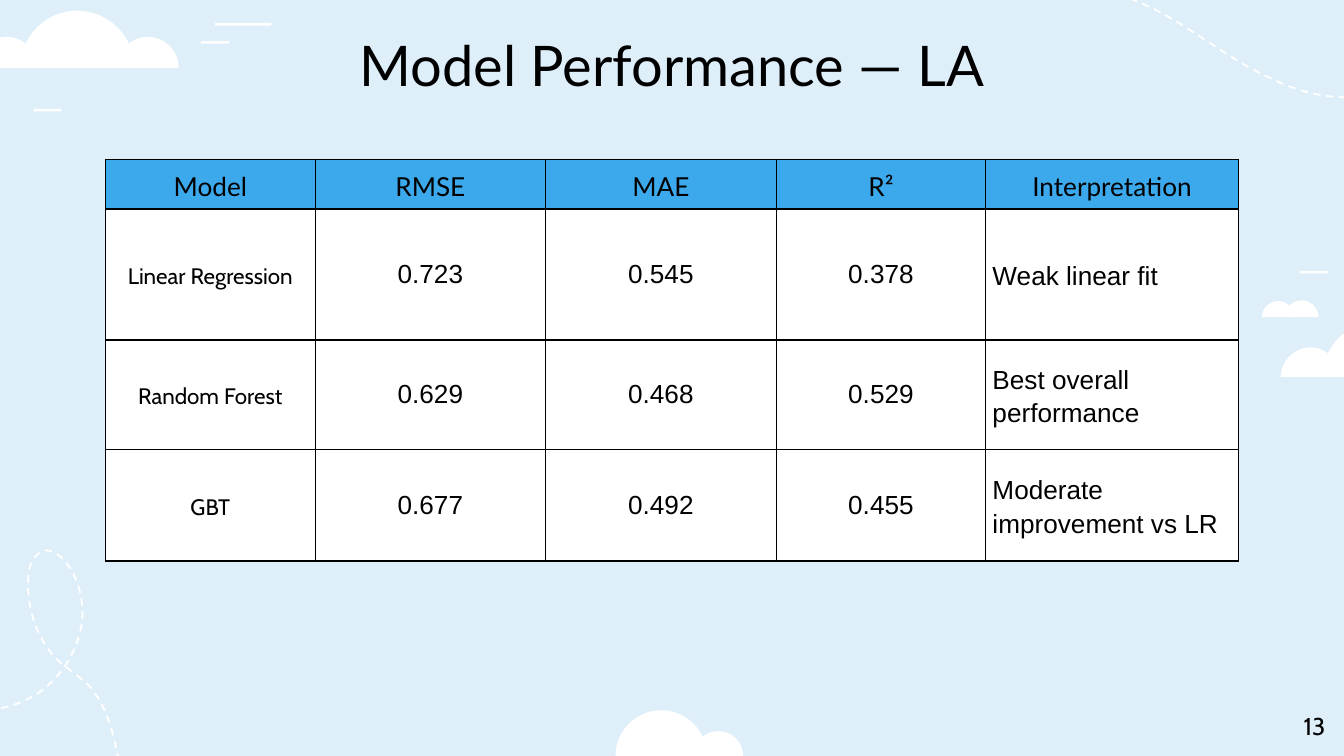
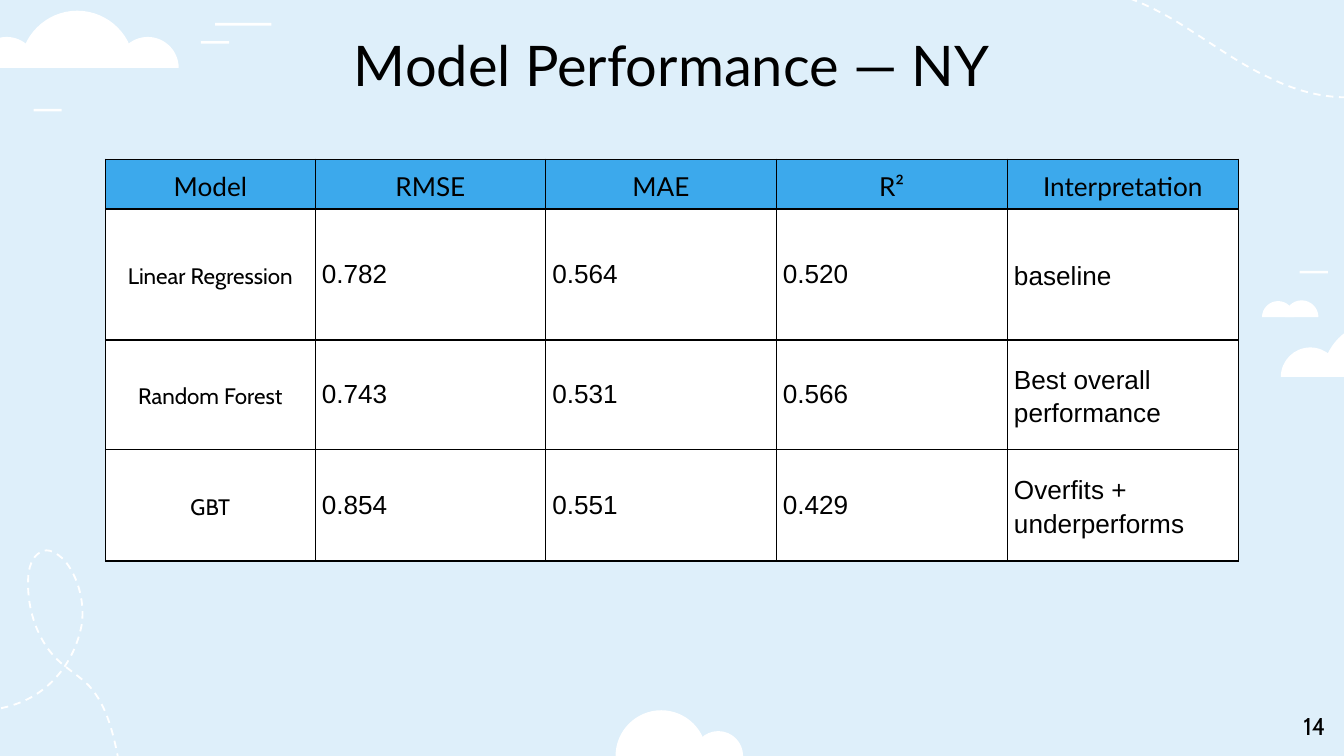
from lxml import etree
from pptx import Presentation
from pptx.dml.color import RGBColor
from pptx.enum.dml import MSO_LINE
from pptx.enum.shapes import MSO_SHAPE
from pptx.enum.text import MSO_ANCHOR, MSO_AUTO_SIZE, PP_ALIGN
from pptx.oxml.ns import qn
from pptx.util import Inches, Pt

LEFT, CENTER, RIGHT = PP_ALIGN.LEFT, PP_ALIGN.CENTER, PP_ALIGN.RIGHT
TOP, MIDDLE = MSO_ANCHOR.TOP, MSO_ANCHOR.MIDDLE
RECTANGLE, DASH, NO_FIT = MSO_SHAPE.RECTANGLE, MSO_LINE.DASH, MSO_AUTO_SIZE.NONE

# Grid: 100 columns by 56.25 rows of square cells
CELL = Inches(0.1)
COLUMNS, ROWS = 100, 56.25

SKY, CLOUD, HEADER, INK = "DEEFFA", "FFFFFF", "3CA9EC", "000000"
HEADING_FONT, LABEL_FONT, VALUE_FONT = "Lato", "Cabin", "Arial"

# Boxes are left, top, width, height in cells
TITLE_BOX = (7.85, 1.3, 84.3, 6.3)
NUMBER_BOX = (93.6, 51.85, 6, 4.3)
TABLE_CORNER = (7.85, 11.85)
ROW_HEIGHTS = (3.7, 9.75, 8.15, 8.3)

# Clouds: base line, then left and width of each half-round dome
CLOUDS = [
    (5.05, [(1.5, 8.5), (-1.8, 4.6), (8.7, 4.6)]),
    (ROWS, [(45.8, 6.8), (51.6, 3.7)]),
    (28.05, [(98.4, 8.2), (95.3, 4.4)]),
    (23.6, [(95.6, 2.5), (93.9, 2.4)]),
]
ROUNDNESS = 0.55  # control-point distance of a quarter circle, per radius

# Wind streaks: left, top, width
STREAKS = [(2.5, 8.1, 2.1), (96.7, 20.15, 2.1), (16, 1.7, 4.2), (14.95, 3.05, 2.1)]
STREAK_HEIGHT = 0.2

# Flight trails: start, then two control points and an end for each curve
TRAILS = [
    [(76.6, -0.1),
     (78.3, -1.1), (80.7, -1.1), (82.9, -0.5),
     (85, 0.1), (87, 1.2), (88.8, 2.4),
     (90.7, 3.6), (92.5, 4.9), (94.5, 5.8),
     (96.5, 6.8), (98.8, 7.4), (101, 7.2)],
    [(-3.8, 55),
     (-3.5, 54.1), (-2.9, 53.5), (-2.2, 53.2),
     (-1.5, 52.9), (-0.7, 52.9), (0.1, 52.7),
     (1.5, 52.4), (2.8, 51.8), (3.9, 50.7),
     (5, 49.6), (5.8, 48.1), (6.1, 46.4),
     (6.3, 44.7), (5.8, 42.9), (4.8, 41.7),
     (4.3, 41.2), (3.6, 40.7), (3, 41.1),
     (2.4, 41.4), (2.1, 42.3), (2.1, 43.1),
     (2, 45.5), (2.9, 47.9), (4.5, 49.3),
     (5.2, 49.9), (6, 50.4), (6.6, 51),
     (8, 52.5), (8.5, 54.8), (8.9, 57)],
]

HEADINGS = ("Model", "RMSE", "MAE", "R²", "Interpretation")
RESULTS = [
    dict(city="LA", number=13, widths=(15.6, 17.15, 17.15, 15.6, 18.8), value_align=CENTER, models=[
        ("Linear Regression", "0.723", "0.545", "0.378", "Weak linear fit"),
        ("Random Forest", "0.629", "0.468", "0.529", "Best overall performance"),
        ("GBT", "0.677", "0.492", "0.455", "Moderate improvement vs LR"),
    ]),
    dict(city="NY", number=14, widths=(15.6, 17.15, 17.15, 17.2, 17.2), value_align=LEFT, models=[
        ("Linear Regression", "0.782", "0.564", "0.520", "baseline"),
        ("Random Forest", "0.743", "0.531", "0.566", "Best overall performance"),
        ("GBT", "0.854", "0.551", "0.429", "Overfits + underperforms"),
    ]),
]

# Cell formats by role
HEADING = dict(font=HEADING_FONT, size=14, align=CENTER, spacing=1.15)
MODEL = dict(font=LABEL_FONT, size=12, align=CENTER, spacing=1.15)
VALUE = dict(font=VALUE_FONT, size=14)
REMARK = dict(font=VALUE_FONT, size=14, spacing=1.15, gap=12)


def color(hex_code):
    return RGBColor.from_string(hex_code)


def cells(*lengths):
    return [round(length * CELL) for length in lengths]


def write(frame, text, font, size, align=LEFT, spacing=None, gap=None):
    paragraph = frame.paragraphs[0]
    paragraph.alignment = align
    paragraph.line_spacing = spacing
    if gap is not None:
        paragraph.space_before = paragraph.space_after = Pt(gap)
    run = paragraph.add_run()
    run.text = text
    run.font.name, run.font.size, run.font.bold = font, Pt(size), False
    run.font.color.rgb = color(INK)


def set_margins(holder, across, down):
    holder.margin_left = holder.margin_right = Inches(across)
    holder.margin_top = holder.margin_bottom = Inches(down)


# Scenery shared by all slides

def paint(shape):
    shape.shadow.inherit = False
    shape.fill.solid()
    shape.fill.fore_color.rgb = color(CLOUD)
    shape.line.fill.background()
    return shape


def add_curve(slide, knots, close):
    """Build a freeform and turn each three segments into one Bézier curve."""
    start, *rest = [cells(*knot) for knot in knots]
    builder = slide.shapes.build_freeform(*start)
    builder.add_line_segments(rest, close=close)
    shape = builder.convert_to_shape()
    segments = list(shape.element.iter(qn("a:lnTo")))
    for first in range(0, len(rest), 3):
        curve = etree.Element(qn("a:cubicBezTo"))
        segments[first].addprevious(curve)
        for segment in segments[first:first + 3]:
            curve.append(segment[0])
            segment.getparent().remove(segment)
    return shape


def add_dome(slide, left, base, width):
    radius = width / 2
    middle, right, top = left + radius, left + width, base - radius
    pull = radius * ROUNDNESS
    return paint(add_curve(slide, [
        (left, base),
        (left, base - pull), (middle - pull, top), (middle, top),
        (middle + pull, top), (right, base - pull), (right, base)], True))


def add_streak(slide, left, top, width):
    return paint(slide.shapes.add_shape(RECTANGLE, *cells(left, top, width, STREAK_HEIGHT)))


def add_trail(slide, knots):
    trail = add_curve(slide, knots, False)
    trail.shadow.inherit = False
    trail.fill.background()
    trail.line.color.rgb = color(CLOUD)
    trail.line.width = Pt(1)
    trail.line.dash_style = DASH
    return trail


def move_scenery_to_layout(slide, layout):
    scenery = [add_dome(slide, left, base, width)
               for base, domes in CLOUDS for left, width in domes]
    scenery += [add_streak(slide, *streak) for streak in STREAKS]
    scenery += [add_trail(slide, knots) for knots in TRAILS]
    for part in scenery:
        layout.shapes.element.append(part.element)


# Slide parts

def add_title(slide, box, text):
    title = slide.shapes.title
    title.left, title.top, title.width, title.height = cells(*box)
    frame = title.text_frame
    frame.auto_size, frame.vertical_anchor, frame.word_wrap = NO_FIT, TOP, True
    set_margins(frame, 0.1, 0.1)
    write(frame, text, HEADING_FONT, 30, CENTER)


def add_number(slide, box, number):
    frame = slide.shapes.add_textbox(*cells(*box)).text_frame
    frame.word_wrap, frame.vertical_anchor = True, MIDDLE
    set_margins(frame, 0.1, 0.1)
    write(frame, str(number), LABEL_FONT, 13, RIGHT)


def add_borders(cell):
    properties = cell._tc.get_or_add_tcPr()
    for side in ("a:lnL", "a:lnR", "a:lnT", "a:lnB"):
        border = etree.SubElement(properties, qn(side), w=str(Pt(0.75)))
        fill = etree.SubElement(border, qn("a:solidFill"))
        etree.SubElement(fill, qn("a:srgbClr"), val=INK)


def fill_cell(cell, text, fill, margins, style):
    add_borders(cell)
    cell.fill.solid()
    cell.fill.fore_color.rgb = color(fill)
    cell.vertical_anchor = MIDDLE
    set_margins(cell, *margins)
    write(cell.text_frame, text, **style)


def add_results(slide, corner, widths, models, value_align):
    box = cells(*corner, sum(widths), sum(ROW_HEIGHTS))
    table = slide.shapes.add_table(len(models) + 1, len(HEADINGS), *box).table
    table.first_row = table.horz_banding = False
    for column, width in zip(table.columns, cells(*widths)):
        column.width = width
    for row, height in zip(table.rows, cells(*ROW_HEIGHTS)):
        row.height = height

    for column, heading in enumerate(HEADINGS):
        style = dict(HEADING, gap=12) if heading == "R²" else HEADING
        fill_cell(table.cell(0, column), heading, HEADER, (0.1, 0.05), style)

    value = dict(VALUE, align=value_align)
    styles = (MODEL, value, value, value, REMARK)
    for row, model in enumerate(models, 1):
        for column, (text, style) in enumerate(zip(model, styles)):
            margins = (0.1, 0.07) if column == 0 else (0.05, 0.03)
            fill_cell(table.cell(row, column), text, CLOUD, margins, style)


def add_performance_slide(prs, layout, city, number, widths, models, value_align):
    slide = prs.slides.add_slide(layout)
    add_title(slide, TITLE_BOX, f"Model Performance — {city}")
    add_results(slide, TABLE_CORNER, widths, models, value_align)
    add_number(slide, NUMBER_BOX, number)
    return slide


def prepare_layout(prs):
    layout = prs.slide_layouts.get_by_name("Title Only")
    layout.background.fill.solid()
    layout.background.fill.fore_color.rgb = color(SKY)
    # Keep the title only; date, footer and number are not used
    for placeholder in list(layout.placeholders)[1:]:
        layout.shapes.element.remove(placeholder.element)
    return layout


def main():
    prs = Presentation()
    prs.slide_width, prs.slide_height = cells(COLUMNS, ROWS)
    layout = prepare_layout(prs)
    slides = [add_performance_slide(prs, layout, **result) for result in RESULTS]
    move_scenery_to_layout(slides[0], layout)
    prs.save("out.pptx")


if __name__ == "__main__":
    main()
